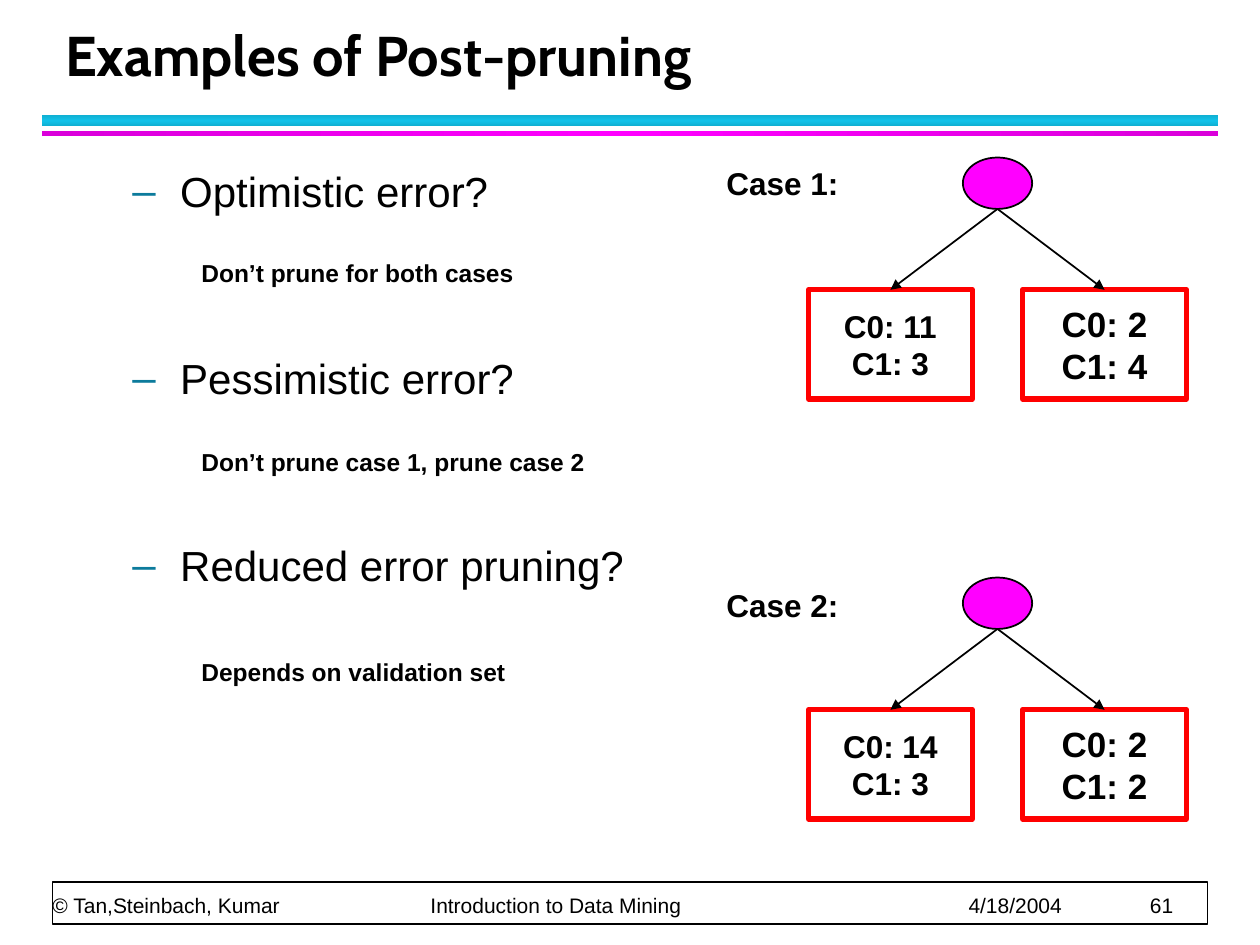
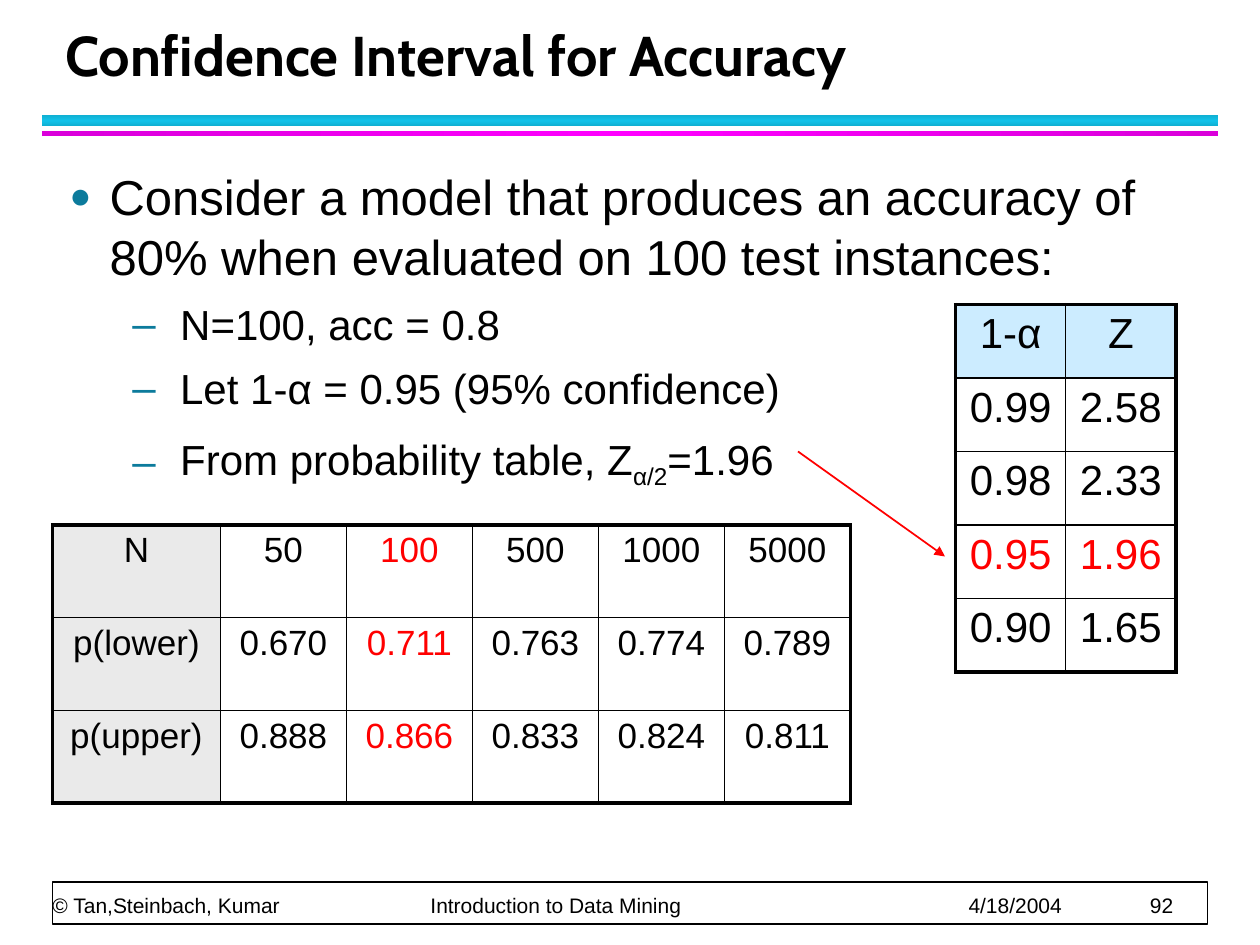
"""Build two data mining slides: post-pruning and confidence interval."""
from copy import deepcopy

from lxml.etree import SubElement
from pptx import Presentation
from pptx.dml.color import RGBColor
from pptx.enum.shapes import MSO_CONNECTOR, MSO_SHAPE
from pptx.enum.text import MSO_ANCHOR, MSO_AUTO_SIZE, PP_ALIGN
from pptx.oxml.ns import qn
from pptx.util import Inches, Pt

RECT, OVAL = MSO_SHAPE.RECTANGLE, MSO_SHAPE.OVAL
LINE = MSO_CONNECTOR.STRAIGHT
TOP, MID, LOW = MSO_ANCHOR.TOP, MSO_ANCHOR.MIDDLE, MSO_ANCHOR.BOTTOM
LEFT, MIDST = PP_ALIGN.LEFT, PP_ALIGN.CENTER
FIXED = MSO_AUTO_SIZE.NONE

BLACK = RGBColor(0x00, 0x00, 0x00)
WHITE = RGBColor(0xFF, 0xFF, 0xFF)
RED = RGBColor(0xFF, 0x00, 0x00)
PINK = RGBColor(0xFF, 0x00, 0xFF)
PLUM = RGBColor(0xDA, 0x00, 0xDA)
CYAN = RGBColor(0x12, 0xC2, 0xE9)
TEAL = RGBColor(0x10, 0xB0, 0xD3)
MARK = RGBColor(0x0C, 0x7B, 0x9C)
SKY = RGBColor(0xCC, 0xEC, 0xFF)
GREY = RGBColor(0xEA, 0xEA, 0xEA)

COLS, ROWS = 120, 90
UNIT = Inches(10) / COLS
THIN, THICK = 1, 2.25

BANDS = [((4, 11, 112, 1), TEAL, CYAN, 90), ((4, 12.5, 112, 0.5), PLUM, PINK, 0)]
FOOT = ["© Tan,Steinbach, Kumar", "Introduction to Data Mining", "4/18/2004"]
STOPS = [3, 7.27, 8.71]

LEVELS = [
    dict(size=28, left=0.32, hang=0.32, char="●", scale=75, line=Pt(34)),
    dict(size=24, left=0.88, hang=0.38, char="–", scale=100, line=1.0),
]

PRUNE = dict(
    title="Examples of Post-pruning", page=61, wide=60.6,
    body=[
        (1, 0, ["Optimistic error?"]),
        (1, 74, ["Pessimistic error?"]),
        (1, 74, ["Reduced error pruning?"]),
    ],
)
NOTES = [
    (18, 24, 43, 14, "Don’t prune for both cases"),
    (18, 42, 43, 14, "Don’t prune case 1, prune case 2"),
    (18, 62, 43, 14, "Depends on validation set"),
    (68, 15, 16, 18, "Case 1:"),
    (68, 55.2, 16, 18, "Case 2:"),
]
TREES = [
    (15, [("C0: 11", "C1: 3"), ("C0: 2", "C1: 4")]),
    (55, [("C0: 14", "C1: 3"), ("C0: 2", "C1: 2")]),
]
LEAVES = [(77, 18), (97.4, 20)]

TRUST = dict(
    title="Confidence Interval for Accuracy", page=92, wide=109.2,
    body=[
        (0, 0, ["Consider a model that produces an accuracy of 80% "
                "when evaluated on 100 test instances:"]),
        (1, 4, ["N=100, acc = 0.8"]),
        (1, 3.6, ["Let 1-α = 0.95 (95% confidence)"]),
        (1, 7.6, ["From probability table, Z", "α/2", "=1.96"]),
    ],
)
SCORES = [
    ("1-α", "Z"),
    ("0.99", "2.58"),
    ("0.98", "2.33"),
    ("0.95", "1.96"),
    ("0.90", "1.65"),
]
BOUNDS = [
    ("N", "50", "100", "500", "1000", "5000"),
    ("p(lower)", "0.670", "0.711", "0.763", "0.774", "0.789"),
    ("p(upper)", "0.888", "0.866", "0.833", "0.824", "0.811"),
]


def grid(*cells):
    """Turn grid counts into lengths."""
    return [round(n * UNIT) for n in cells]


def style(par, size, color=BLACK, bold=False, name="Arial"):
    """Set the font of a paragraph."""
    font = par.font
    font.size, font.bold, font.name = Pt(size), bold, name
    font.color.rgb = color


def place(shape, spot):
    """Move a placeholder to its grid spot."""
    shape.left, shape.top, shape.width, shape.height = grid(*spot)
    shape.text_frame.auto_size = FIXED


def block(slide, kind, spot, fill=None, edge=None, width=1):
    """Add a flat shape."""
    shape = slide.shapes.add_shape(kind, *grid(*spot))
    shape.shadow.inherit = False
    if fill is None:
        shape.fill.background()
    else:
        shape.fill.solid()
        shape.fill.fore_color.rgb = fill
    if edge is None:
        shape.line.fill.background()
    else:
        shape.line.color.rgb = edge
        shape.line.width = Pt(width)
    return shape


def band(slide, spot, rim, core, angle):
    """Add a bar that shades from rim to core and back."""
    bar = block(slide, RECT, spot)
    bar.fill.gradient()
    bar.fill.gradient_angle = angle
    stops = bar._element.spPr.find(".//" + qn("a:gsLst"))
    stops.insert(1, deepcopy(stops[0]))
    shades = [(0, rim), (0.5, core), (1, rim)]
    for stop, (at, color) in zip(bar.fill.gradient_stops, shades):
        stop.position = at
        stop.color.rgb = color


def arrow(slide, start, end, color=BLACK):
    """Add a thin line with an arrowhead."""
    line = slide.shapes.add_connector(LINE, *grid(*start, *end))
    line.line.color.rgb = color
    line.line.width = Pt(1)
    props = line._element.spPr
    SubElement(props.find(qn("a:ln")), qn("a:tailEnd"), type="triangle")
    SubElement(props, qn("a:effectLst"))
    return line


def footer(slide, page):
    """Add the boxed line at the foot of the slide."""
    block(slide, RECT, (5, 84, 110, 4), WHITE, BLACK)
    frame = slide.shapes.add_textbox(*grid(5, 84, 109.8, 3.4)).text_frame
    frame.word_wrap, frame.vertical_anchor = True, LOW
    frame.margin_left = frame.margin_right = 0
    frame.margin_top = frame.margin_bottom = 0
    par = frame.paragraphs[0]
    par.text = "\t".join([*FOOT, str(page)])
    tabs = SubElement(par._p.get_or_add_pPr(), qn("a:tabLst"))
    for stop in STOPS:
        SubElement(tabs, qn("a:tab"), pos=str(Inches(stop)), algn="l")
    par.line_spacing = Pt(20)
    style(par, 12)


def bullet(par, look):
    """Give a paragraph its indent and bullet."""
    props = par._p.get_or_add_pPr()
    props.set("marL", str(Inches(look["left"])))
    props.set("indent", str(-Inches(look["hang"])))
    color = SubElement(props, qn("a:buClr"))
    SubElement(color, qn("a:srgbClr"), val=str(MARK))
    SubElement(props, qn("a:buSzPct"), val=str(look["scale"] * 1000))
    SubElement(props, qn("a:buChar"), char=look["char"])


def fill_body(frame, items):
    """Write the bulleted list; every second run is a subscript."""
    frame.vertical_anchor = TOP
    for i, (level, gap, parts) in enumerate(items):
        par = frame.add_paragraph() if i else frame.paragraphs[0]
        look = LEVELS[level]
        bullet(par, look)
        par.level = level
        par.line_spacing = look["line"]
        par.space_before, par.space_after = Pt(gap), Pt(4)
        style(par, look["size"])
        for k, part in enumerate(parts):
            run = par.add_run()
            run.text = part
            if k % 2:
                run.font._element.set("baseline", "-25000")


def page(deck, data):
    """Add a slide with title, list, bands and footer."""
    slide = deck.slides.add_slide(deck.slide_layouts[1])
    title, body = slide.placeholders
    place(title, (5, 2, 108.7, 7))
    title.text_frame.vertical_anchor = LOW
    par = title.text_frame.paragraphs[0]
    par.text = data["title"]
    par.alignment, par.line_spacing = LEFT, Pt(36)
    style(par, 32, bold=True, name="Cabin")
    place(body, (5.4, 15.2, data["wide"], 68))
    fill_body(body.text_frame, data["body"])
    for item in BANDS:
        band(slide, *item)
    footer(slide, data["page"])
    return slide


def note(slide, left, top, wide, size, text):
    """Add a bold caption."""
    box = slide.shapes.add_textbox(*grid(left, top, wide, 4))
    box.text_frame.word_wrap = True
    par = box.text_frame.paragraphs[0]
    par.text = text
    style(par, size, bold=True)


def tree(slide, top, leaves):
    """Add a root with an arrow to each leaf."""
    block(slide, OVAL, (91.7, top, 6.6, 4.9), PINK, BLACK)
    for (left, size), lines in zip(LEAVES, leaves):
        leaf = block(slide, RECT, (left, top + 12.6, 15.6, 10.4), None, RED, 3)
        frame = leaf.text_frame
        frame.word_wrap, frame.vertical_anchor = False, MID
        frame.text = "\n".join(lines)
        for par in frame.paragraphs:
            par.alignment = MIDST
            style(par, size, bold=True)
        line = arrow(slide, (95, top + 4.9), (left + 7.8, top + 12.6))
        line.end_connect(leaf, 0)


def border(cell, sides):
    """Draw the four cell sides: left, right, top, bottom."""
    props = cell._tc.get_or_add_tcPr()
    for i, (side, outer) in enumerate(zip("LRTB", sides)):
        width = Pt(THICK if outer else THIN)
        edge = SubElement(props, qn("a:ln" + side), w=str(width))
        paint = SubElement(edge, qn("a:solidFill"))
        SubElement(paint, qn("a:srgbClr"), val=str(BLACK))
        props.insert(i, edge)


def table(slide, spot, data, widths, size, shade, is_head, is_hot):
    """Add a ruled table with shaded heads and red hot cells."""
    tall, wide = len(data), len(data[0])
    grid_box = slide.shapes.add_table(tall, wide, *grid(*spot)).table
    grid_box.first_row = grid_box.horz_banding = False
    for col, width in zip(grid_box.columns, grid(*widths)):
        col.width = width
    for r, row in enumerate(data):
        for c, text in enumerate(row):
            cell = grid_box.cell(r, c)
            cell.fill.solid()
            cell.fill.fore_color.rgb = shade if is_head(r, c) else WHITE
            border(cell, (c == 0, c == wide - 1, r == 0, r == tall - 1))
            par = cell.text_frame.paragraphs[0]
            par.text = text
            par.alignment, par.space_after = MIDST, Pt(4)
            style(par, size, RED if is_hot(r, c) else BLACK)


def main():
    """Build and save the deck."""
    deck = Presentation()
    deck.slide_width, deck.slide_height = grid(COLS, ROWS)

    prune = page(deck, PRUNE)
    for top, leaves in TREES:
        tree(prune, top, leaves)
    for item in NOTES:
        note(prune, *item)

    trust = page(deck, TRUST)
    table(trust, (91, 29, 21, 35), SCORES, [10.5] * 2, 24, SKY,
          lambda r, c: r == 0, lambda r, c: r == 3)
    arrow(trust, (76, 43), (90, 53), RED)
    table(trust, (5, 50, 76, 26.5), BOUNDS, [16] + [12] * 5, 20, GREY,
          lambda r, c: c == 0, lambda r, c: c == 2)

    deck.save("out.pptx")


if __name__ == "__main__":
    main()
